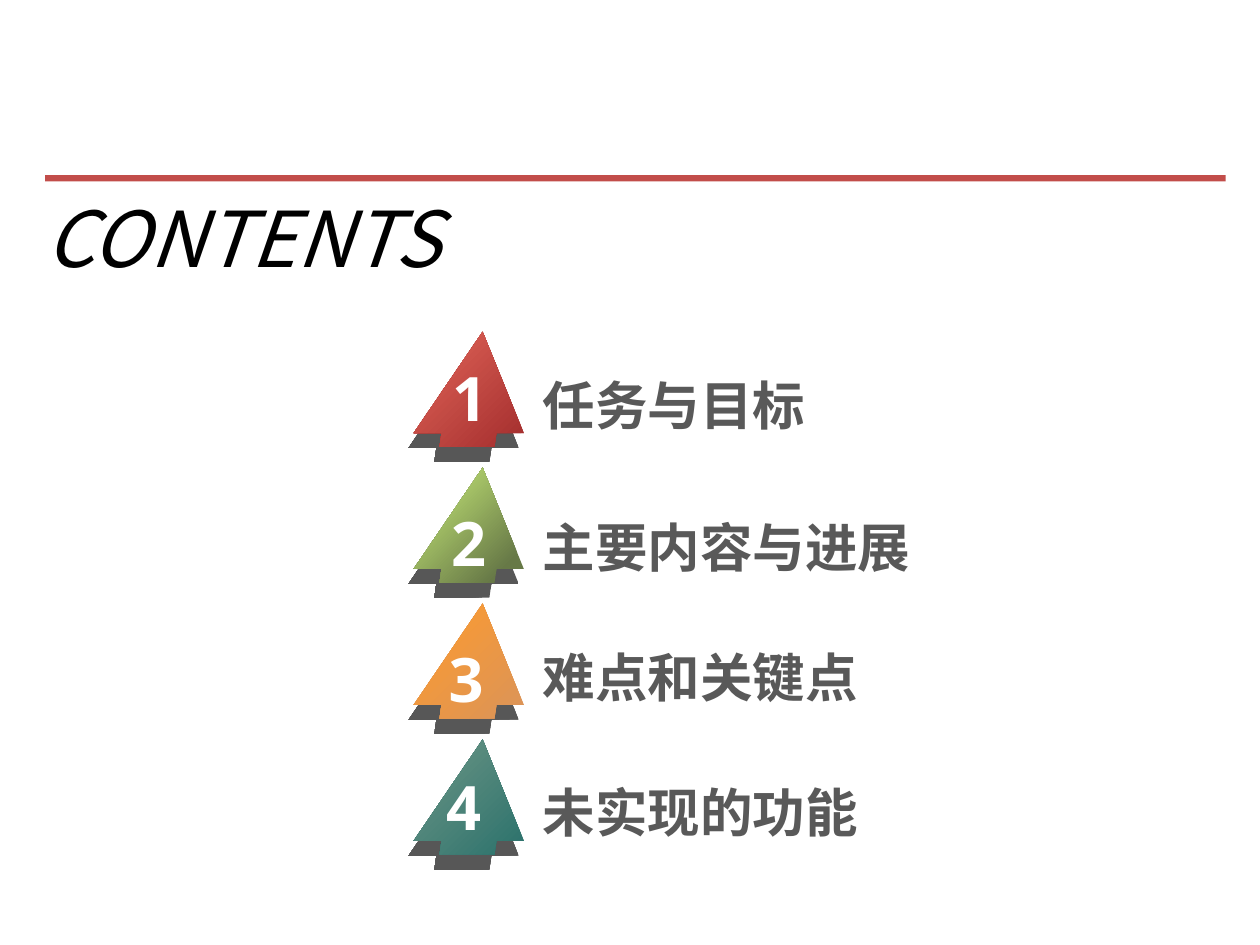
import lxml.etree
import pptx
import pptx.dml.color
import pptx.enum.shapes
import pptx.enum.text
import pptx.oxml.ns
import pptx.util

Cm = pptx.util.Cm
qn = pptx.oxml.ns.qn
CJK_FONT = "Noto Sans CJK SC"
NUMBER_FONT = "Noto Sans"
ARROW_OUTLINE = [(1.39, 0), (2.22, 2.04), (1.67, 2.04), (1.63, 2.32),
                 (0.52, 2.32), (0.56, 2.04), (0, 2.04)]
ENTRIES = [
    ("任务与目标", [(1, "A42E2E"), (100, "E3675A")], (1.13, 0.45), 0.7),
    ("主要内容与进展", [(15, "677947"), (83, "B8D870")], (1.11, 0.63), 0.83),
    ("难点和关键点", [(1, "DB9458"), (100, "FF9B2D")], (1.06, 0.63), 0.71),
    ("未实现的功能", [(1, "2C726C"), (99, "6E9686")], (1.01, 0.48), 0.69),
]


def rgb(value):
    return pptx.dml.color.RGBColor.from_string(value)


def place(part, left, top, width, height):
    part.left, part.top = Cm(left), Cm(top)
    part.width, part.height = Cm(width), Cm(height)


def write(part, words, size, color, font_name, bold=False, italic=False,
          wrap=False, align=pptx.enum.text.PP_ALIGN.LEFT):
    frame = part.text_frame
    frame.text = words
    frame.word_wrap = wrap
    frame.auto_size = pptx.enum.text.MSO_AUTO_SIZE.NONE
    frame.vertical_anchor = pptx.enum.text.MSO_ANCHOR.TOP
    paragraph = frame.paragraphs[0]
    paragraph.alignment = align
    run = paragraph.runs[0]
    run.font.size = pptx.util.Pt(size)
    run.font.bold = bold
    run.font.italic = italic
    run.font.color.rgb = rgb(color)
    run.font.name = font_name
    east_asian = lxml.etree.SubElement(run.font._element, qn("a:ea"))
    east_asian.set("typeface", font_name)


def add_text(slide, left, top, width, height, words, **style):
    label = slide.shapes.add_textbox(Cm(left), Cm(top), Cm(width), Cm(height))
    write(label, words, **style)


def cast_shadow(shape):
    shape.shadow.inherit = False
    effects = shape._element.spPr.find(qn("a:effectLst"))
    shadow = lxml.etree.SubElement(
        effects, qn("a:outerShdw"), blurRad="0", dist="114300",
        dir="6540000", algn="tl", rotWithShape="0")
    black = lxml.etree.SubElement(shadow, qn("a:srgbClr"), val="000000")
    lxml.etree.SubElement(black, qn("a:alpha"), val="65000")


def add_arrow(slide, left, top, stops):
    points = [(Cm(left + x), Cm(top + y)) for x, y in ARROW_OUTLINE]
    builder = slide.shapes.build_freeform(*points[0], scale=1.0)
    builder.add_line_segments(points[1:], close=True)
    arrow = builder.convert_to_shape()
    arrow.fill.gradient()
    arrow.fill.gradient_angle = 135
    for stop, (position, color) in zip(arrow.fill.gradient_stops, stops):
        stop.position = position / 100
        stop.color.rgb = rgb(color)
    arrow.line.fill.background()
    cast_shadow(arrow)


def add_heading(slide, left, top, width):
    rule = slide.shapes.add_shape(
        pptx.enum.shapes.MSO_SHAPE.RECTANGLE,
        Cm(left), Cm(top), Cm(width), Cm(0.13))
    rule.fill.solid()
    rule.fill.fore_color.rgb = rgb("C24D4A")
    rule.line.fill.background()
    rule.shadow.inherit = False
    title = slide.shapes.title
    place(title, left - 0.25, top + 0.18, 8.94, 2.13)
    write(title, "CONTENTS", 44, "000000", CJK_FONT, italic=True)


def add_entry(slide, left, top, number, entry):
    caption, stops, (number_x, number_y), caption_y = entry
    add_arrow(slide, left, top, stops)
    add_text(slide, left + number_x - 0.6, top + number_y, 1.2, 1.75,
             str(number), size=35, color="FFFFFF", font_name=NUMBER_FONT,
             bold=True, align=pptx.enum.text.PP_ALIGN.CENTER)
    add_text(slide, left + 2.35, top + caption_y, 11.28, 1.55, caption,
             size=30, color="595959", font_name=CJK_FONT, bold=True, wrap=True)


def add_entries(slide, left, top, pitch):
    for index, entry in enumerate(ENTRIES):
        add_entry(slide, left, top + index * pitch, index + 1, entry)


def main():
    deck = pptx.Presentation()
    deck.slide_width, deck.slide_height = Cm(25.4), Cm(19.05)
    slide = deck.slides.add_slide(deck.slide_layouts[5])
    add_heading(slide, 0.91, 3.53, 23.8)
    add_entries(slide, 8.34, 6.69, 2.74)
    deck.save("out.pptx")


if __name__ == "__main__":
    main()
